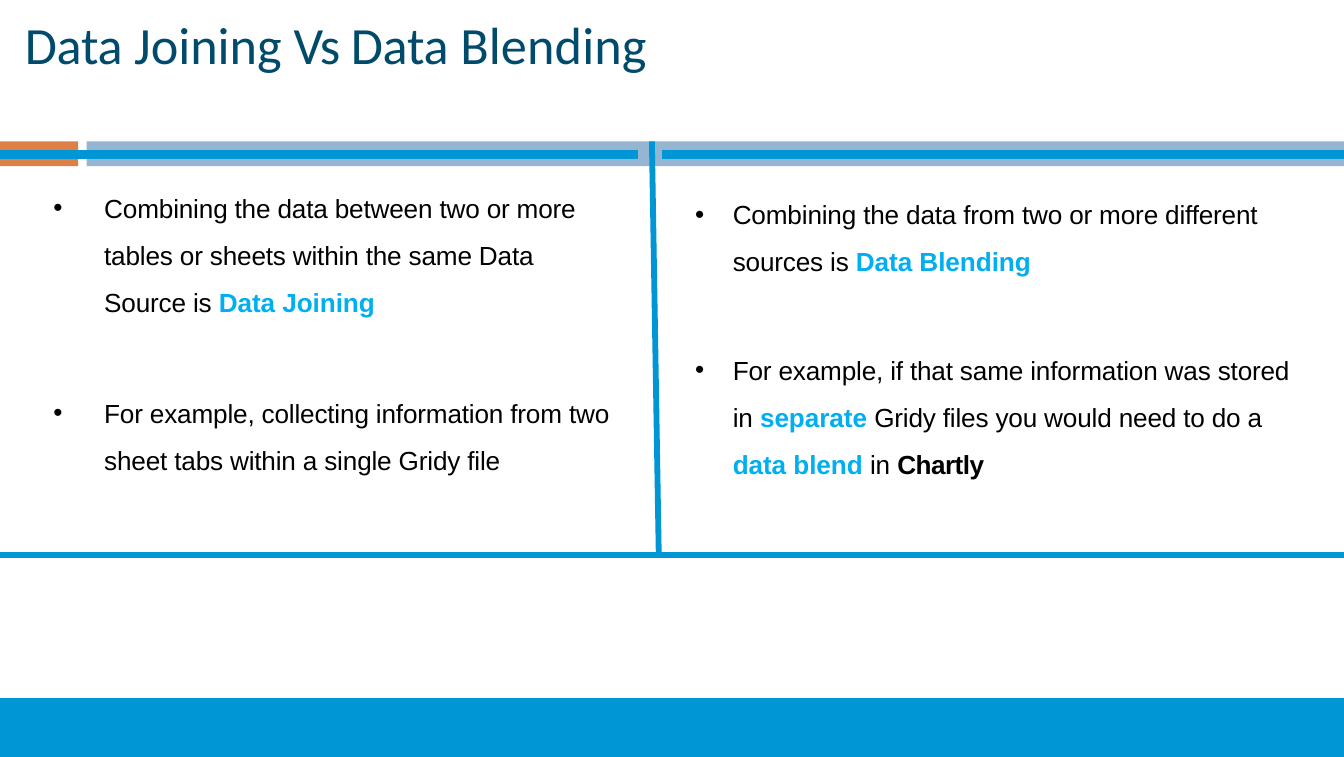
"""Builds the slide comparing data joining with data blending."""
from dataclasses import dataclass

from pptx import Presentation
from pptx.dml.color import RGBColor
from pptx.enum.shapes import MSO_CONNECTOR, MSO_SHAPE
from pptx.enum.text import MSO_ANCHOR
from pptx.oxml.ns import qn
from pptx.util import Cm, Pt
from lxml.etree import SubElement


@dataclass(frozen=True)
class Theme:
    """Colours, fonts and sizes of the slide."""
    title: RGBColor = RGBColor(0x00, 0x4A, 0x6B)
    text: RGBColor = RGBColor(0x00, 0x00, 0x00)
    key: RGBColor = RGBColor(0x00, 0xAF, 0xEF)
    rule: RGBColor = RGBColor(0x00, 0x95, 0xD5)
    orange: RGBColor = RGBColor(0xDD, 0x80, 0x47)
    pale: RGBColor = RGBColor(0x94, 0xB6, 0xD2)
    title_font: str = "Calibri"
    body_font: str = "Arial"
    title_size: Pt = Pt(28)
    body_size: Pt = Pt(14)
    line_pitch: Pt = Pt(25.2)
    bullet_gap: Pt = Pt(34.3)
    thick: Pt = Pt(4.56)
    thin: Pt = Pt(3.12)


THEME = Theme()
WIDTH, HEIGHT = 25.4, 14.3
BAND_TOP, BAND_HEIGHT = 2.67, 0.47
RULE_Y, DIVIDER_END = 2.92, 10.49
FOOTER_TOP = 13.19

JOINING = [
    [("Combining the data between two or more tables or sheets "
      "within the same Data Source is ", "plain"), ("Data Joining", "key")],
    [("For example, collecting information from two sheet tabs "
      "within a single Gridy file", "plain")],
]
BLENDING = [
    [("Combining the data from two or more different sources is ", "plain"),
     ("Data Blending", "key")],
]
EXAMPLE = [
    [("For example, if that same information was stored in ", "plain"),
     ("separate ", "key"),
     ("Gridy files you would need to do a ", "plain"),
     ("data blend ", "key"), ("in ", "plain"), ("Chartly", "strong")],
]
TITLE = [("Data ", -10), ("Joining ", 0), ("Vs ", -60), ("Data ", -10), ("Blending", 10)]


def add_bar(page, left, top, width, height, color):
    """Add a plain filled rectangle."""
    bar = page.shapes.add_shape(MSO_SHAPE.RECTANGLE, Cm(left), Cm(top), Cm(width), Cm(height))
    bar.shadow.inherit = False
    bar.fill.solid()
    bar.fill.fore_color.rgb = color
    bar.line.fill.background()


def add_rule(page, start, end, weight):
    """Add a straight line between two points."""
    rule = page.shapes.add_connector(MSO_CONNECTOR.STRAIGHT, *map(Cm, start + end))
    rule.line.color.rgb = THEME.rule
    rule.line.width = weight
    SubElement(rule._element.spPr, qn("a:effectLst"))


def add_text_frame(page, left, top, width, height):
    """Add a wrapping text box without margins and return its frame."""
    frame = page.shapes.add_textbox(Cm(left), Cm(top), Cm(width), Cm(height)).text_frame
    frame.word_wrap = True
    frame.margin_left = frame.margin_right = frame.margin_top = frame.margin_bottom = 0
    return frame


def add_span(para, text, font, size, color, spacing, bold=False):
    """Add a formatted run with letter spacing in hundredths of a point."""
    span = para.add_run()
    span.text = text
    span.font.name, span.font.size, span.font.bold = font, size, bold
    span.font.color.rgb = color
    span._r.get_or_add_rPr().set("spc", str(spacing))


def add_title(page, left, top, width, height):
    """Place the slide title."""
    frame = add_text_frame(page, left, top, width, height)
    frame.vertical_anchor = MSO_ANCHOR.MIDDLE
    for text, spacing in TITLE:
        add_span(frame.paragraphs[0], text, THEME.title_font, THEME.title_size,
                 THEME.title, spacing)


def add_bullets(page, left, top, width, height, items, indent):
    """Place a bulleted list with a hanging indent."""
    styles = {"plain": (THEME.text, -10, False), "key": (THEME.key, -5, True),
              "strong": (THEME.text, -30, True)}
    frame = add_text_frame(page, left, top, width, height)
    for index, item in enumerate(items):
        para = frame.add_paragraph() if index else frame.paragraphs[0]
        para.line_spacing = THEME.line_pitch
        para.space_before = THEME.bullet_gap if index else Pt(0)
        properties = para._p.get_or_add_pPr()
        properties.set("marL", str(Cm(indent)))
        properties.set("indent", str(-Cm(indent - 0.03)))
        SubElement(properties, qn("a:buFont"), typeface=THEME.body_font)
        SubElement(properties, qn("a:buChar"), char="•")
        for text, style in item:
            color, spacing, bold = styles[style]
            add_span(para, text, THEME.body_font, THEME.body_size, color, spacing, bold)


def add_header_band(page, left, top, width, height):
    """Place the two-colour band and the rules that cross it."""
    accent, start = 1.48, 1.64
    add_bar(page, left, top, accent, height, THEME.orange)
    add_bar(page, left + start, top, width - start, height, THEME.pale)
    for begin, end in ((12.51, width), (0, 12.06)):
        add_rule(page, (left + begin, RULE_Y), (left + end, RULE_Y), THEME.thick)


def add_frame_rules(page, left, top, width, bottom):
    """Place the slanted divider and the rule below both columns."""
    add_rule(page, (left + 12.32, top), (left + 12.45, bottom), THEME.thin)
    add_rule(page, (left, bottom), (left + width, bottom), THEME.thin)


def main():
    """Build and save the deck."""
    deck = Presentation()
    deck.slide_width, deck.slide_height = Cm(WIDTH), Cm(HEIGHT)
    page = deck.slides.add_slide(deck.slide_layouts[6])
    add_header_band(page, 0, BAND_TOP, WIDTH, BAND_HEIGHT)
    add_bar(page, 0, FOOTER_TOP, WIDTH, HEIGHT - FOOTER_TOP, THEME.rule)
    add_bullets(page, 0.98, 3.33, 10.59, 6, JOINING, 0.99)
    add_bullets(page, 13.11, 3.46, 10.8, 1.9, BLENDING, 0.74)
    add_bullets(page, 13.11, 6.39, 11.4, 2.75, EXAMPLE, 0.74)
    add_title(page, 0.47, 0.18, 12.24, 1.27)
    add_frame_rules(page, 0, BAND_TOP, WIDTH, DIVIDER_END)
    deck.save("out.pptx")


if __name__ == "__main__":
    main()
